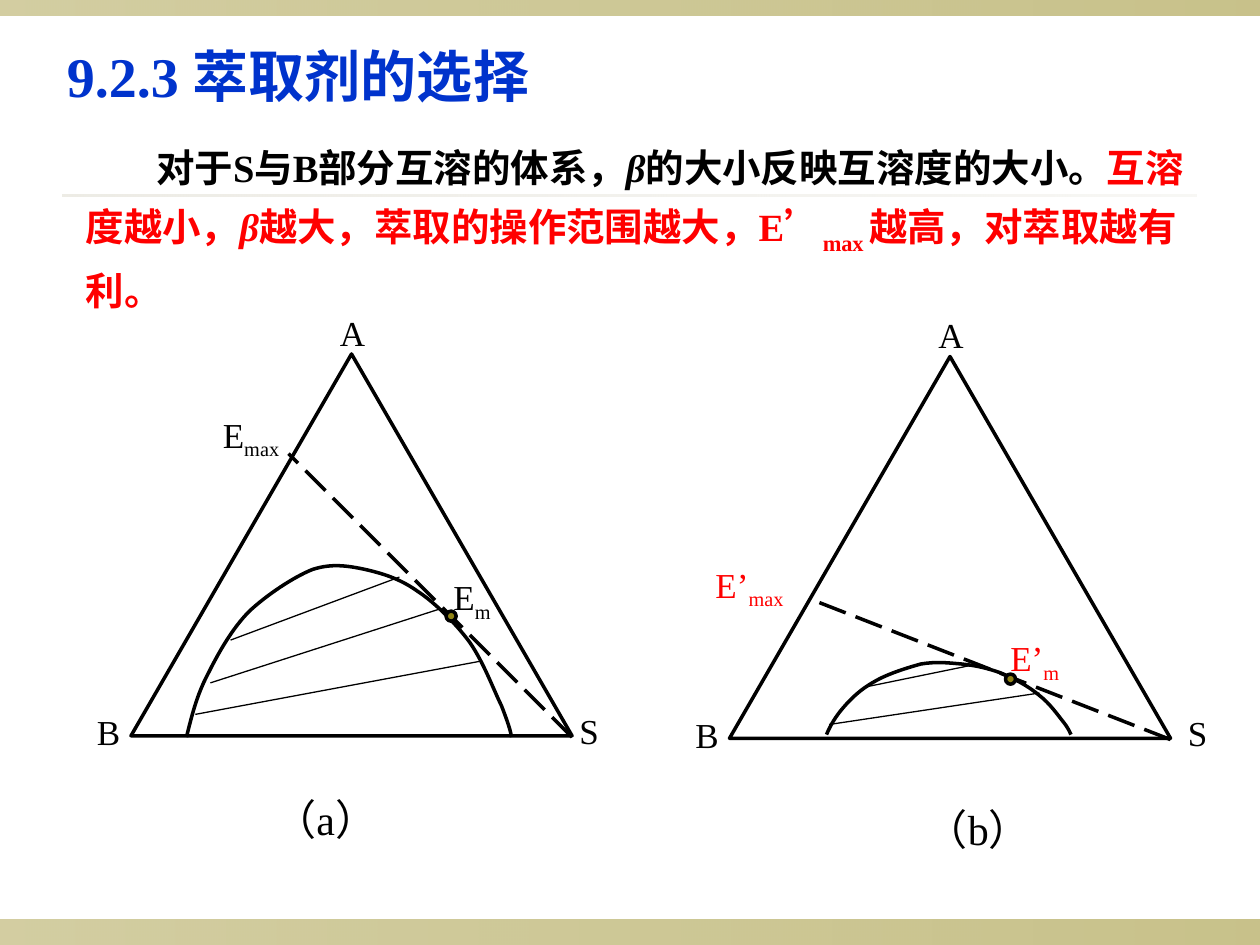
from dataclasses import dataclass
from itertools import islice

from lxml import etree
from pptx import Presentation
from pptx import util as u
from pptx.dml.color import RGBColor
from pptx.enum import dml, shapes, text
from pptx.oxml.ns import qn

BLACK, RED, BLUE, OLIVE, STONE = "000000", "FF0000", "0033CC", "918415", "DCD9CC"
COLUMNS = 10


def color(value):
    return RGBColor.from_string(value)


@dataclass
class Sketch:
    page: object
    cell: int
    font: str = "Times New Roman"
    heavy: float = 2
    thin: float = 0.75

    def grid(self, *lengths):
        return [round(length * self.cell) for length in lengths]

    def band(self, top, height, fill, alphas, left=0, width=COLUMNS):
        bar = self.page.shapes.add_shape(shapes.MSO_SHAPE.RECTANGLE,
                                         *self.grid(left, top, width, height))
        bar.shadow.inherit = False
        bar.line.fill.background()
        bar.fill.gradient()
        bar.fill.gradient_angle = 0
        for stop in bar.fill.gradient_stops:
            stop.color.rgb = color(fill)
        for tint, alpha in zip(bar._element.spPr.iter(qn("a:srgbClr")), alphas):
            etree.SubElement(tint, qn("a:alpha"), val=str(alpha * 1000))

    def add_runs(self, box, runs, size, bold=False, spacing=None):
        frame = box.text_frame
        frame.word_wrap = True
        frame.auto_size = text.MSO_AUTO_SIZE.NONE
        frame.vertical_anchor = text.MSO_ANCHOR.TOP
        para = frame.paragraphs[0]
        para.alignment = text.PP_ALIGN.LEFT
        para.space_before = u.Pt(0)
        if spacing:
            para.line_spacing = spacing
        for words, ink, style in runs:
            span = para.add_run()
            span.text = words
            span.font.name = self.font
            span.font.size = u.Pt(size)
            span.font.bold = bold
            span.font.italic = style == "italic"
            span.font.color.rgb = color(ink)
            if style == "sub":
                span.font._element.set("baseline", "-25000")
        return para

    def placeholder(self, index, place, runs, size, spacing=None, indent=0):
        box = self.page.placeholders[index]
        box.left, box.top, box.width, box.height = self.grid(*place)
        self.page.shapes._spTree.append(box._element)
        para = self.add_runs(box, runs, size, True, spacing)
        properties = para._p.get_or_add_pPr()
        properties.set("marL", "0")
        properties.set("indent", str(self.grid(indent)[0]))
        etree.SubElement(properties, qn("a:buNone"))

    def label(self, left, top, words, sub="", ink=BLACK, width=0.67, height=0.44, size=20):
        box = self.page.shapes.add_textbox(*self.grid(left, top, width, height))
        runs = [(words, ink, "")]
        if sub:
            runs.append((sub, ink, "sub"))
        self.add_runs(box, runs, size)

    def outline(self, shape, fill=None):
        shape.shadow.inherit = False
        shape.line.color.rgb = color(BLACK)
        shape.line.width = u.Pt(self.heavy)
        if fill:
            shape.fill.solid()
            shape.fill.fore_color.rgb = color(fill)
        else:
            shape.fill.background()

    def preset(self, kind, place, fill=None):
        self.outline(self.page.shapes.add_shape(kind, *self.grid(*place)), fill)

    def line(self, start, end, dashed=False):
        line = self.page.shapes.add_connector(shapes.MSO_CONNECTOR.STRAIGHT,
                                              *self.grid(*start, *end))
        line.line.color.rgb = color(BLACK)
        line.line.width = u.Pt(self.heavy if dashed else self.thin)
        if dashed:
            line.line.dash_style = dml.MSO_LINE.LONG_DASH
        etree.SubElement(line._element.spPr, qn("a:effectLst"))

    def curve(self, points):
        start, *rest = [self.grid(*point) for point in points]
        builder = self.page.shapes.build_freeform(*start)
        builder.add_line_segments(rest, close=False)
        shape = builder.convert_to_shape()
        route = next(shape._element.iter(qn("a:path")))
        steps = iter(route.findall(qn("a:lnTo")))
        while trio := list(islice(steps, 3)):
            bend = etree.SubElement(route, qn("a:cubicBezTo"))
            for step in trio:
                bend.append(step[0])
                route.remove(step)
        self.outline(shape)

    def diagram(self, corner, s_shift, curve, tangent, ties, dot, peak, touch, prime, ink, caption):
        left, top = corner
        self.preset(shapes.MSO_SHAPE.ISOSCELES_TRIANGLE, (left, top, 3.5, 3.03))
        for name, across, down in (("A", 1.56, -0.39), ("B", -0.37, 2.78), ("S", s_shift, 2.77)):
            self.label(left + across, top + down, name)
        self.curve(curve)
        self.line(*tangent, dashed=True)
        self.label(*touch, "E" + prime, "m", ink, height=0.48)
        self.label(*peak, "E" + prime, "max", ink, width=0.83, height=0.48)
        self.preset(shapes.MSO_SHAPE.OVAL, (*dot, 0.08, 0.08), OLIVE)
        for tie in ties:
            self.line(*tie)
        words, *place = caption
        self.label(*place, words, width=1.33, height=0.5, size=24)


PARTLY_SOLUBLE = dict(
    corner=(1.04, 2.81), s_shift=3.46,
    curve=[(1.48, 5.85), (1.52, 5.69), (1.56, 5.52), (1.65, 5.35),
           (1.73, 5.19), (1.84, 4.99), (1.98, 4.85), (2.12, 4.72), (2.33, 4.58), (2.48, 4.52),
           (2.63, 4.47), (2.76, 4.49), (2.9, 4.52), (3.03, 4.55), (3.17, 4.59), (3.31, 4.69),
           (3.45, 4.78), (3.62, 4.95), (3.73, 5.1), (3.84, 5.26), (3.92, 5.48), (3.98, 5.6),
           (4.03, 5.73), (4.05, 5.79), (4.06, 5.85)],
    tangent=((4.54, 5.85), (2.29, 3.6)),
    ties=[((1.83, 5.08), (3.17, 4.58)), ((1.67, 5.42), (3.5, 4.83)), ((1.55, 5.67), (3.8, 5.25))],
    dot=(3.54, 4.85), peak=(1.67, 3.23), touch=(3.5, 4.52),
    prime="", ink=BLACK, caption=("（a）", 2.08, 6.25))

BARELY_SOLUBLE = dict(
    corner=(5.79, 2.83), s_shift=3.54,
    curve=[(6.56, 5.83), (6.59, 5.76), (6.63, 5.69), (6.69, 5.62),
           (6.75, 5.55), (6.83, 5.47), (6.94, 5.41), (7.04, 5.35), (7.2, 5.3), (7.31, 5.27),
           (7.43, 5.25), (7.52, 5.26), (7.63, 5.27), (7.73, 5.28), (7.83, 5.3), (7.94, 5.34),
           (8.04, 5.38), (8.17, 5.45), (8.25, 5.52), (8.33, 5.58), (8.4, 5.68), (8.44, 5.73),
           (8.48, 5.78), (8.49, 5.81), (8.5, 5.83)],
    tangent=((9.29, 5.87), (6.42, 4.75)),
    ties=[((6.88, 5.45), (7.71, 5.28)), ((6.58, 5.75), (8.25, 5.5))],
    dot=(7.98, 5.35), peak=(5.58, 4.42), touch=(7.92, 5),
    prime="’", ink=RED, caption=("（b）", 7.25, 6.33))

STATEMENT = [
    ("对于S与B部分互溶的体系，", BLACK, ""), ("β", BLACK, "italic"),
    ("的大小反映互溶度的大小。", BLACK, ""), ("互溶度越小，", RED, ""),
    ("β", RED, "italic"), ("越大，萃取的操作范围越大，E’", RED, ""),
    ("max ", RED, "sub"), ("越高，对萃取越有利。", RED, "")]


def main():
    deck = Presentation()
    deck.slide_width, deck.slide_height = u.Inches(10), u.Inches(7.5)
    page = deck.slides.add_slide(deck.slide_layouts[1])
    sketch = Sketch(page, deck.slide_width // COLUMNS)
    sketch.band(7.3, 0.2, OLIVE, (40, 50))
    sketch.band(0, 0.12, OLIVE, (40, 50))
    sketch.band(1.54, 0.02, STONE, (50, 20), left=0.5, width=9)
    sketch.placeholder(0, (0.43, 0.28, 6, 0.64), [("9.2.3 萃取剂的选择", BLUE, "")], 32)
    sketch.placeholder(1, (0.58, 1, 8.92, 1.54), STATEMENT, 22, spacing=1.25, indent=0.56)
    for panel in (PARTLY_SOLUBLE, BARELY_SOLUBLE):
        sketch.diagram(**panel)
    deck.save("out.pptx")


if __name__ == "__main__":
    main()
